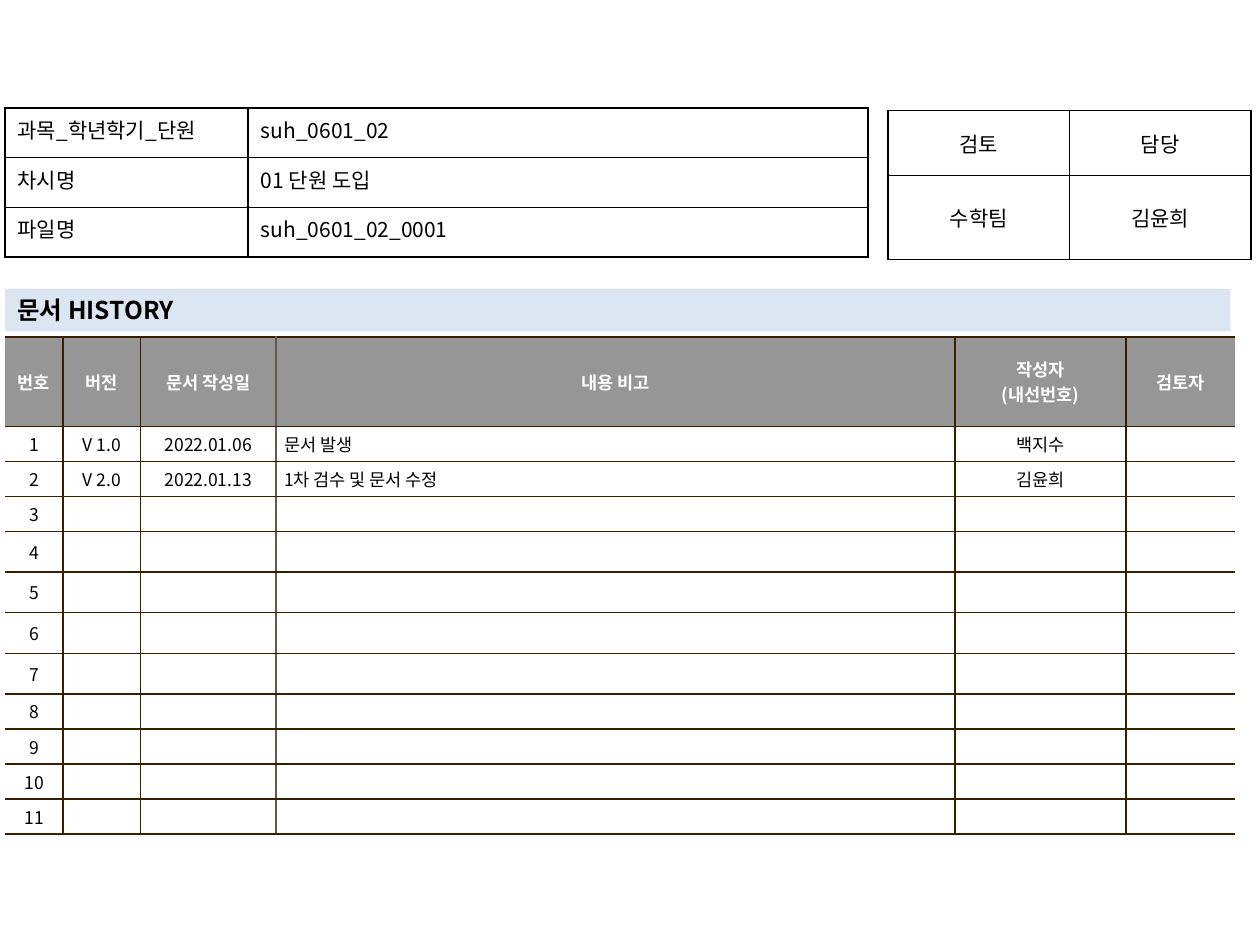
from lxml.etree import SubElement
from pptx import Presentation
from pptx.dml.color import RGBColor
from pptx.enum.shapes import MSO_SHAPE
from pptx.enum.text import MSO_ANCHOR, PP_ALIGN
from pptx.oxml.ns import qn
from pptx.util import Pt

THEME = {
    "font": "Noto Sans CJK KR",
    "black": "000000",
    "white": "FFFFFF",
    "header": "969696",
    "band": "DCE6F2",
    "brown": "362000",
    "taupe": "645B4C",
    "heading": 14,
    "label": 12,
    "body": 10,
    "line": 1,
}

FILE_INFO = [
    ["과목_학년학기_단원", "suh_0601_02"],
    ["차시명", "01 단원 도입"],
    ["파일명", "suh_0601_02_0001"],
]
REVIEW = [["검토", "담당"], ["수학팀", "김윤희"]]
HEADING = "문서 HISTORY"
HISTORY_HEADER = ["번호", "버전", "문서 작성일", "내용 비고", "작성자\n(내선번호)", "검토자"]
HISTORY_ENTRIES = [
    ["V 1.0", "2022.01.06", "문서 발생", "백지수", ""],
    ["V 2.0", "2022.01.13", "1차 검수 및 문서 수정", "김윤희", ""],
]
HISTORY_COUNT = 11
TALL_ROWS = range(4, 8)
NOTE_COLUMN = 3
LEFT = 2.9


def apply(target, values):
    for name, value in values.items():
        setattr(target, name, value)


def write(frame, text, size, color, align, bold=False):
    for index, line in enumerate(text.split("\n")):
        paragraph = frame.paragraphs[0] if index == 0 else frame.add_paragraph()
        paragraph.alignment = align
        if not line:
            SubElement(paragraph._p, qn("a:endParaRPr"), sz=str(size * 100))
            continue
        run = paragraph.add_run()
        run.text = line
        apply(run.font, {"name": THEME["font"], "size": Pt(size), "bold": bold})
        run.font.color.rgb = RGBColor.from_string(color)
        SubElement(run._r.get_or_add_rPr(), qn("a:ea"), typeface=THEME["font"])


def set_borders(cell, colors):
    properties = cell._tc.get_or_add_tcPr()
    for side in "LRTB":
        color = colors[side]
        line = SubElement(properties, qn(f"a:ln{side}"), w=str(Pt(THEME["line"])))
        if color is None:
            SubElement(line, qn("a:noFill"))
        else:
            fill = SubElement(line, qn("a:solidFill"))
            SubElement(fill, qn("a:srgbClr"), val=color)


def add_grid(slide, left, top, widths, heights, rows, cell_format):
    table = slide.shapes.add_table(
        len(rows), len(widths), Pt(left), Pt(top), Pt(sum(widths)), Pt(sum(heights))
    ).table
    apply(table, {"first_row": False, "horz_banding": False})
    for column, width in zip(table.columns, widths):
        column.width = Pt(width)
    for row, height in zip(table.rows, heights):
        row.height = Pt(height)
    for row_index, values in enumerate(rows):
        for column_index, text in enumerate(values):
            cell = table.cell(row_index, column_index)
            style = cell_format(row_index, column_index)
            side, end = style["margins"]
            apply(cell, {
                "margin_left": Pt(side), "margin_right": Pt(side),
                "margin_top": Pt(end), "margin_bottom": Pt(end),
                "vertical_anchor": style["anchor"],
            })
            set_borders(cell, style["borders"])
            if style["fill"] is None:
                cell.fill.background()
            else:
                cell.fill.solid()
                cell.fill.fore_color.rgb = RGBColor.from_string(style["fill"])
            write(cell.text_frame, text, **style["text"])


def label_format(anchor, aligns):
    def cell_format(row, column):
        return {
            "margins": (7.2, 3.6),
            "anchor": anchor,
            "fill": None,
            "borders": dict.fromkeys("LRTB", THEME["black"]),
            "text": {"size": THEME["label"], "color": THEME["black"], "align": aligns[column]},
        }
    return cell_format


def history_format(row, column):
    is_header = row == 0
    edges = [None] + [THEME["brown"]] * (len(HISTORY_HEADER) - 1) + [None]
    edges[NOTE_COLUMN] = THEME["taupe"]
    is_note = column == NOTE_COLUMN and not is_header
    return {
        "margins": (4.6, 2.6),
        "anchor": MSO_ANCHOR.MIDDLE,
        "fill": THEME["header"] if is_header else THEME["white"],
        "borders": {"L": edges[column], "R": edges[column + 1],
                    "T": THEME["brown"], "B": THEME["brown"]},
        "text": {
            "size": THEME["body"],
            "color": THEME["white"] if is_header else THEME["black"],
            "align": PP_ALIGN.LEFT if is_note else PP_ALIGN.CENTER,
            "bold": is_header,
        },
    }


def add_heading(slide):
    band = slide.shapes.add_shape(MSO_SHAPE.RECTANGLE, Pt(LEFT), Pt(165.1), Pt(700.2), Pt(24.2))
    band.shadow.inherit = False
    band.fill.solid()
    band.fill.fore_color.rgb = RGBColor.from_string(THEME["band"])
    band.line.fill.background()
    apply(band.text_frame, {
        "word_wrap": True, "vertical_anchor": MSO_ANCHOR.MIDDLE,
        "margin_left": Pt(7.2), "margin_top": 0, "margin_bottom": 0,
    })
    write(band.text_frame, HEADING, THEME["heading"], THEME["black"], PP_ALIGN.LEFT, True)


def main():
    presentation = Presentation()
    apply(presentation, {"slide_width": Pt(720), "slide_height": Pt(540)})
    slide = presentation.slides.add_slide(presentation.slide_layouts[6])

    blank_entry = [""] * (len(HISTORY_HEADER) - 1)
    entries = HISTORY_ENTRIES + [blank_entry] * (HISTORY_COUNT - len(HISTORY_ENTRIES))
    history = [HISTORY_HEADER] + [[str(n), *entry] for n, entry in enumerate(entries, 1)]
    heights = [51] + [23.2 if n in TALL_ROWS else 20.05 for n in range(1, HISTORY_COUNT + 1)]
    add_grid(slide, LEFT, 192.6, [33.1, 44.2, 77.6, 388, 97.7, 62.4], heights,
             history, history_format)
    add_grid(slide, 507.5, 63.2, [103.7] * 2, [37, 48], REVIEW,
             label_format(MSO_ANCHOR.MIDDLE, [PP_ALIGN.CENTER] * 2))
    add_heading(slide)
    add_grid(slide, LEFT, 61.7, [138.9, 354.2], [28.4] * 3, FILE_INFO,
             label_format(MSO_ANCHOR.TOP, [PP_ALIGN.JUSTIFY, PP_ALIGN.LEFT]))
    presentation.save("out.pptx")


if __name__ == "__main__":
    main()
